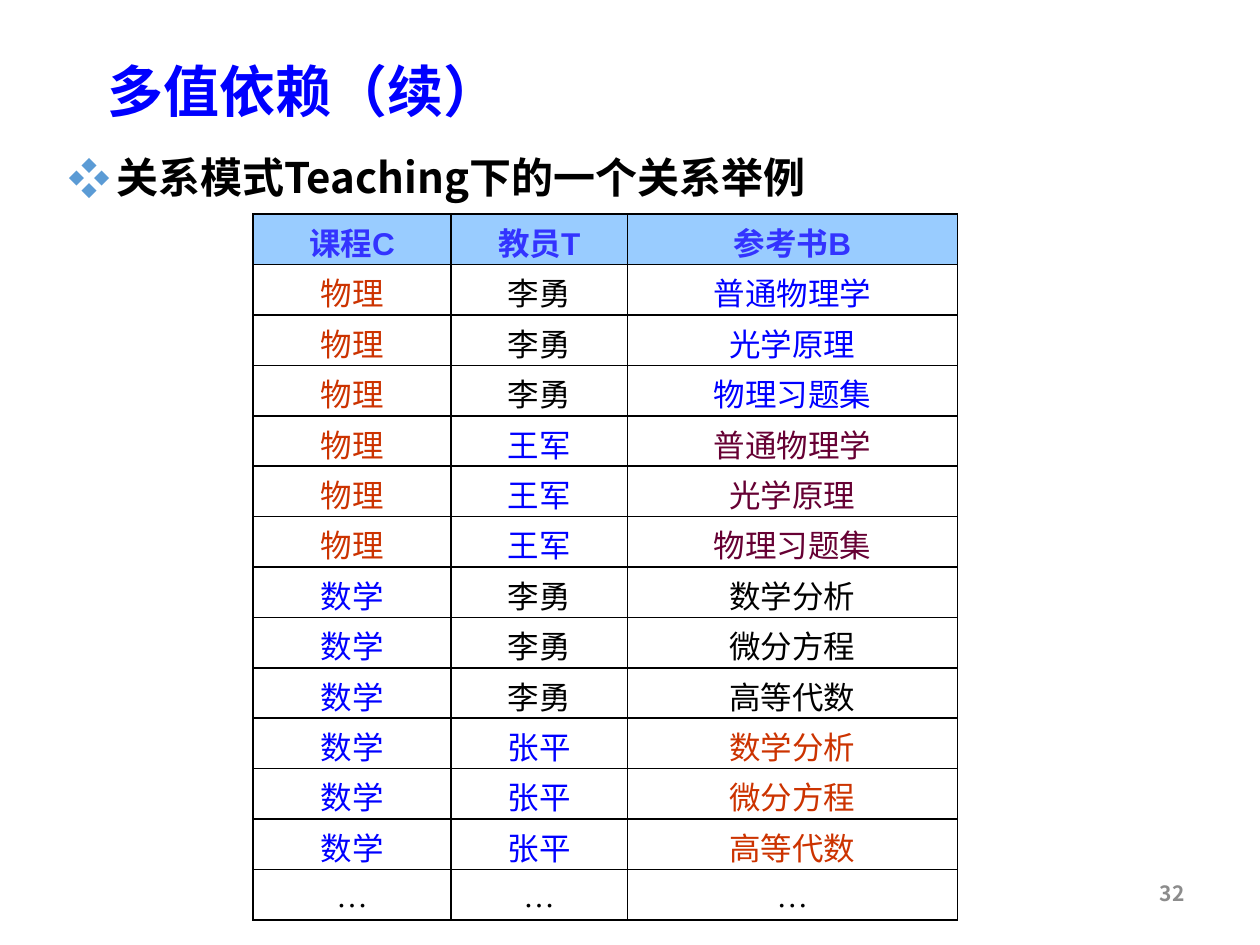
import pptx
import pptx.dml.color
import pptx.enum.text
import pptx.oxml.ns
import pptx.util
from lxml import etree

Pt = pptx.util.Pt
RGBColor = pptx.dml.color.RGBColor
Align = pptx.enum.text.PP_ALIGN
Anchor = pptx.enum.text.MSO_ANCHOR
qn = pptx.oxml.ns.qn

BLACK = RGBColor(0x00, 0x00, 0x00)
BLUE = RGBColor(0x00, 0x00, 0xFF)
RED = RGBColor(0xCC, 0x33, 0x00)
MAROON = RGBColor(0x66, 0x00, 0x33)
GREY = RGBColor(0x8C, 0x8C, 0x8C)
HEADER_TEXT = RGBColor(0x33, 0x33, 0xFF)
HEADER_FILL = RGBColor(0x99, 0xCC, 0xFF)
BULLET = RGBColor(0x5B, 0x9B, 0xD5)

CJK = "Noto Sans CJK SC"
SANS = "Arial"
SERIF = "Times New Roman"

COLUMN_WIDTHS = (113, 100.8, 188.6)
ROW_HEIGHT = 28.8
HEADERS = ("课程C", "教员T", "参考书B")
PHYSICS_BOOKS = ("普通物理学", "光学原理", "物理习题集")
MATHS_BOOKS = ("数学分析", "微分方程", "高等代数")
# course, colour, teacher, colour, font, books, colour
GROUPS = (
    ("物理", RED, "李勇", BLACK, SANS, PHYSICS_BOOKS, BLUE),
    ("物理", RED, "王军", BLUE, SERIF, PHYSICS_BOOKS, MAROON),
    ("数学", BLUE, "李勇", BLACK, SANS, MATHS_BOOKS, BLACK),
    ("数学", BLUE, "张平", BLUE, SERIF, MATHS_BOOKS, RED),
)


def place(sp, left, top, width, height):
    """Set the position and size of a shape in points."""
    sp.left, sp.top, sp.width, sp.height = map(Pt, (left, top, width, height))


def add_text(tf, text, size, color, font=CJK, bold=False, align=Align.LEFT):
    """Write one formatted run into the first paragraph and return the paragraph."""
    p = tf.paragraphs[0]
    p.alignment = align
    p.space_before = Pt(0)
    r = p.add_run()
    r.text = text
    r.font.size = Pt(size)
    r.font.bold = bold
    r.font.color.rgb = color
    r.font.name = font
    etree.SubElement(r.font._element, qn("a:ea"), typeface=CJK)
    return p


def set_frame(tf):
    """Wrap the text, centre it vertically and keep its size."""
    tf.word_wrap = True
    tf.auto_size = pptx.enum.text.MSO_AUTO_SIZE.NONE
    tf.vertical_anchor = Anchor.MIDDLE


def add_bullet(p, char, color, indent):
    """Give a paragraph a coloured bullet with a hanging indent."""
    pPr = p._p.get_or_add_pPr()
    pPr.set("marL", str(Pt(indent)))
    pPr.set("indent", str(-Pt(indent)))
    clr = etree.SubElement(pPr, qn("a:buClr"))
    etree.SubElement(clr, qn("a:srgbClr"), val=str(color))
    etree.SubElement(pPr, qn("a:buFont"), typeface=CJK)
    etree.SubElement(pPr, qn("a:buChar"), char=char)


def add_borders(cell):
    """Draw a black 1 pt line on all four sides of a cell."""
    tcPr = cell._tc.get_or_add_tcPr()
    for i, side in enumerate(("lnL", "lnR", "lnT", "lnB")):
        ln = etree.Element(qn("a:" + side), w=str(Pt(1)))
        fill = etree.SubElement(ln, qn("a:solidFill"))
        etree.SubElement(fill, qn("a:srgbClr"), val=str(BLACK))
        tcPr.insert(i, ln)


def fill_cell(cell, text, color, font, header=False):
    """Format one table cell and write its text."""
    if header:
        cell.fill.solid()
        cell.fill.fore_color.rgb = HEADER_FILL
    else:
        cell.fill.background()
    add_borders(cell)
    cell.margin_top, cell.margin_bottom = Pt(2.7), Pt(0)
    cell.vertical_anchor = Anchor.MIDDLE
    add_text(cell.text_frame, text, 18, color, font, header, Align.CENTER)


def table_rows():
    """List the rows below the header as (text, colour, font) triples."""
    rows = [
        ((course, c_color, SERIF), (teacher, t_color, t_font), (book, b_color, SANS))
        for course, c_color, teacher, t_color, t_font, books, b_color in GROUPS
        for book in books
    ]
    return rows + [(("…", BLACK, SERIF),) * 3]


def add_relation_table(s):
    """Add the table of courses, teachers and books."""
    rows = [[(text, HEADER_TEXT, SANS) for text in HEADERS]] + table_rows()
    table = s.shapes.add_table(
        len(rows), len(HEADERS), Pt(144.7), Pt(122.4),
        Pt(sum(COLUMN_WIDTHS)), Pt(ROW_HEIGHT * len(rows))).table
    table.horz_banding = False
    for col, width in zip(table.columns, COLUMN_WIDTHS):
        col.width = Pt(width)
    for i, row in enumerate(rows):
        table.rows[i].height = Pt(ROW_HEIGHT)
        for j, (text, color, font) in enumerate(row):
            fill_cell(table.cell(i, j), text, color, font, header=i == 0)


def add_title(s):
    """Fill the title placeholder."""
    sp = s.shapes.title
    place(sp, 54, 31.7, 581.8, 44.6)
    set_frame(sp.text_frame)
    add_text(sp.text_frame, "多值依赖（续）", 32, BLUE, bold=True).line_spacing = 0.9


def add_body(s):
    """Fill the body placeholder with the bulleted line."""
    sp = s.placeholders[1]
    place(sp, 19.4, 82.8, 460.8, 36)
    set_frame(sp.text_frame)
    p = add_text(sp.text_frame, "关系模式Teaching下的一个关系举例", 24, BLACK,
                 bold=True, align=Align.CENTER)
    add_bullet(p, "❖", BULLET, 27)


def add_page_number(s):
    """Add the page number at the lower right."""
    sp = s.shapes.add_textbox(Pt(516.2), Pt(491.8), Pt(167.8), Pt(37.4))
    set_frame(sp.text_frame)
    add_text(sp.text_frame, "32", 12, GREY, bold=True, align=Align.RIGHT)


def main():
    """Build the slide and save it."""
    prs = pptx.Presentation()
    prs.slide_width, prs.slide_height = Pt(720), Pt(540)
    s = prs.slides.add_slide(prs.slide_layouts[1])
    add_page_number(s)
    add_title(s)
    add_body(s)
    add_relation_table(s)
    prs.save("out.pptx")


main()
